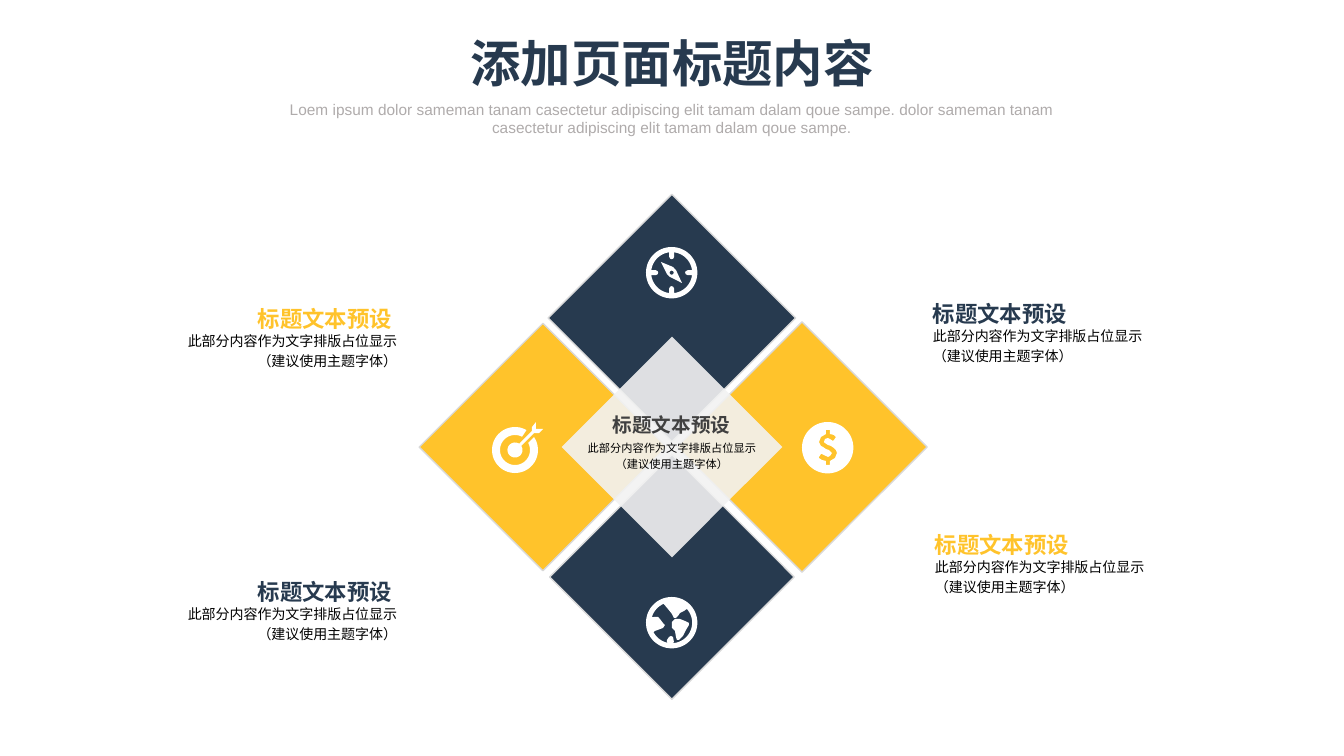
from math import cos, radians, sin

from lxml import etree
from pptx import Presentation
from pptx.dml.color import RGBColor
from pptx.enum.shapes import MSO_SHAPE
from pptx.enum.text import MSO_AUTO_SIZE, PP_ALIGN
from pptx.oxml.ns import qn
from pptx.util import Emu, Pt

RECTANGLE = MSO_SHAPE.RECTANGLE
GROW = MSO_AUTO_SIZE.SHAPE_TO_FIT_TEXT
FIXED = MSO_AUTO_SIZE.NONE
LEFT, CENTER, RIGHT = PP_ALIGN.LEFT, PP_ALIGN.CENTER, PP_ALIGN.RIGHT

PX = 914400 / 100.8
FINE = 100
COLORS = {
    "navy": "273A4F",
    "yellow": "FFC32B",
    "edge": "D9D9D9",
    "veil": "F2F2F2",
    "white": "FFFFFF",
    "muted": "AFABAB",
    "dark": "404040",
    "black": "000000",
}
HEADING = "标题文本预设"
BODY_LINES = ("此部分内容作为文字排版占位显示", "（建议使用主题字体）")


def px(length):
    return Emu(round(length * PX))


def color(name):
    return RGBColor.from_string(COLORS[name])


def arc(cx, cy, radius, start, end):
    steps = max(4, round(abs(end - start) / 6))
    angles = [radians(start + (end - start) * i / steps) for i in range(steps + 1)]
    return [(cx + radius * cos(a), cy + radius * sin(a)) for a in angles]


def disc(cx, cy, radius):
    return arc(cx, cy, radius, 0, 360)


MID, RIM, INNER = 25.7, 25.7, 20.5


def dial():
    outline = []
    for turn in range(0, 360, 90):
        a = radians(turn)
        for out, side in ((20.3, -2.5), (16, -2.5), (14, -1.5), (13.5, 0),
                          (14, 1.5), (16, 2.5), (20.3, 2.5)):
            outline.append((MID + out * cos(a) - side * sin(a),
                            MID + out * sin(a) + side * cos(a)))
        outline += arc(MID, MID, INNER, turn + 7, turn + 83)
    return outline


COMPASS = [
    disc(MID, MID, RIM),
    dial(),
    [(15, 15), (27, 20), (30, 23), (36, 36), (24, 30), (21, 27)],
    disc(MID, MID, 2),
]
TARGET = [
    arc(23, 28, 23, -34, 300) + arc(23, 28, 15, 298, -28),
    [(44, 7), (44, 0), (40, 5), (40, 9), (27, 22)]
    + arc(23, 28, 7.5, -56, -394)
    + [(42, 11), (47, 11), (51, 7)],
]
DOLLAR = [
    disc(MID, MID, RIM),
    [(33, 36), (28, 39), (28, 43), (24, 43), (24, 39), (20, 38), (17, 36),
     (17, 35), (19, 32), (20, 32), (24, 34), (26, 35), (28, 34), (30, 31),
     (29, 30), (27, 28), (24, 27), (21, 25), (19, 24), (18, 22), (17, 20),
     (19, 15), (24, 12), (24, 8), (28, 8), (28, 12), (32, 13), (34, 15),
     (32, 18), (31, 19), (28, 17), (26, 16), (23, 17), (22, 20), (23, 21),
     (26, 23), (29, 24), (32, 26), (34, 28), (35, 31)],
]
GLOBE = [
    disc(MID, MID, RIM),
    [(28, 45), (27, 40), (25, 39), (23, 40), (21, 43), (21, 45)]
    + arc(MID, MID, INNER, 100, 153)
    + [(9, 34), (17, 31), (19, 28), (17, 26), (14, 22), (12, 20)]
    + arc(MID, MID, INNER, 196, 247)
    + [(22, 12), (26, 17), (28, 21), (30, 21), (32, 19), (34, 16), (38, 14)]
    + arc(MID, MID, INNER, 318, 447),
    [(39, 24), (34, 22), (29, 22), (26, 25), (26, 31), (29, 34), (30, 40),
     (31, 43), (33, 43), (37, 39), (40, 33), (43, 28), (43, 26)],
]


class Page:
    font = "Arial"

    def __init__(self, slide):
        self.shapes = slide.shapes

    def diamond(self, cx, cy, side, fill, edge=None, opacity=None):
        shape = self.shapes.add_shape(RECTANGLE, px(cx - side / 2), px(cy - side / 2),
                                      px(side), px(side))
        shape.rotation = 315
        shape.shadow.inherit = False
        shape.fill.solid()
        shape.fill.fore_color.rgb = color(fill)
        if opacity:
            tint = shape._element.spPr.find(".//" + qn("a:srgbClr"))
            etree.SubElement(tint, qn("a:alpha"), val=str(opacity * 1000))
        if edge:
            shape.line.color.rgb = color(edge)
            shape.line.width = Pt(1)
        else:
            shape.line.fill.background()

    def icon(self, left, top, outlines):
        fine = [[(x * FINE, y * FINE) for x, y in outline] for outline in outlines]
        builder = self.shapes.build_freeform(*fine[0][0], scale=PX / FINE)
        builder.add_line_segments(fine[0][1:], close=True)
        for outline in fine[1:]:
            builder.move_to(*outline[0])
            builder.add_line_segments(outline[1:], close=True)
        shape = builder.convert_to_shape(px(left), px(top))
        shape.shadow.inherit = False
        shape.fill.solid()
        shape.fill.fore_color.rgb = color("white")
        shape.line.fill.background()

    def text(self, box, words, size, ink, align=CENTER, bold=False, wrap=True,
             inset=True, spacing=None, grow=False):
        frame = self.shapes.add_textbox(*map(px, box)).text_frame
        frame.word_wrap = wrap
        frame.auto_size = GROW if grow else FIXED
        if not inset:
            frame.margin_left = frame.margin_right = 0
            frame.margin_top = frame.margin_bottom = 0
        paragraph = frame.paragraphs[0]
        paragraph.text = words
        paragraph.alignment = align
        if spacing:
            paragraph.line_spacing = spacing
        paragraph.font.name = self.font
        paragraph.font.size = Pt(size)
        paragraph.font.bold = bold
        paragraph.font.color.rgb = color(ink)

    def caption(self, left, top, ink, align):
        heading = HEADING + " " if align == RIGHT else HEADING
        self.text((left, top + 24, 237, 50), "\n".join(BODY_LINES), 10, "black",
                  align, inset=False, spacing=1.2)
        self.text((left, top, 237, 24), heading, 16, ink, align, bold=True,
                  wrap=False, inset=False)


def main():
    deck = Presentation()
    deck.slide_width, deck.slide_height = px(1344), px(756)
    page = Page(deck.slides.add_slide(deck.slide_layouts[6]))

    page.text((458, 27, 428, 72), "添加页面标题内容", 36, "navy", bold=True,
              wrap=False, grow=True)
    page.text((252, 95, 840, 67),
              "Loem ipsum dolor sameman tanam casectetur adipiscing elit tamam dalam "
              "qoue sampe. dolor sameman tanam casectetur adipiscing elit tamam dalam "
              "qoue sampe.", 11, "muted", grow=True)

    for cx, cy, side, fill in ((672, 318, 175, "navy"), (672, 577, 173, "navy"),
                               (543, 447, 175, "yellow"), (802, 447, 177, "yellow")):
        page.diamond(cx, cy, side, fill, edge="edge")
    page.diamond(672, 447, 156, "veil", opacity=90)

    for left, top, outlines in ((492, 422, TARGET), (802, 422, DOLLAR),
                                (646, 247, COMPASS), (646, 597, GLOBE)):
        page.icon(left, top, outlines)

    for left, top, ink, align in ((933, 300, "navy", LEFT), (935, 531, "yellow", LEFT),
                                  (160, 578, "navy", RIGHT), (160, 305, "yellow", RIGHT)):
        page.caption(left, top, ink, align)

    page.text((612, 413, 119, 21), HEADING, 14, "dark", bold=True, wrap=False, inset=False)
    page.text((569, 434, 206, 50), " ".join(BODY_LINES), 8, "black", spacing=1.2)

    deck.save("out.pptx")


if __name__ == "__main__":
    main()
